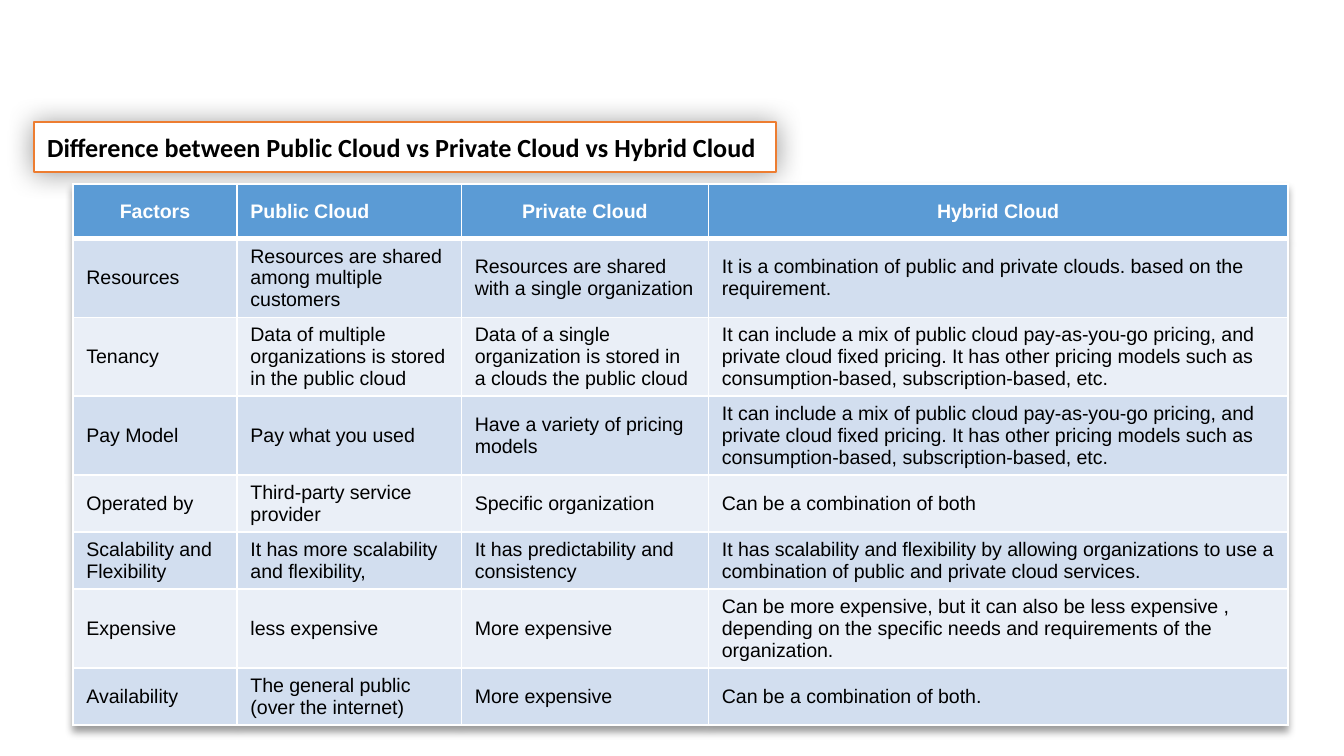
from lxml.etree import SubElement
from pptx import Presentation
from pptx.dml.color import RGBColor as RGB
from pptx.enum.shapes import MSO_SHAPE as SHAPE
from pptx.enum.text import MSO_ANCHOR as ANCHOR, PP_ALIGN as ALIGN
from pptx.oxml.ns import qn
from pptx.util import Cm, Pt

TITLE = "Difference between Public Cloud vs Private Cloud vs Hybrid Cloud"
MIXED_PRICING = (
    "It can include a mix of public cloud pay-as-you-go pricing, and private cloud "
    "fixed pricing. It has other pricing models such as consumption-based, "
    "subscription-based, etc."
)
HEADER = ("Factors", "Public Cloud", "Private Cloud", "Hybrid Cloud")
HEADER_ALIGN = (ALIGN.CENTER, ALIGN.LEFT, ALIGN.CENTER, ALIGN.CENTER)
BODY = [
    ("Resources", "Resources are shared among multiple customers",
     "Resources are shared with a single organization",
     "It is a combination of public and private clouds. based on the requirement."),
    ("Tenancy", "Data of multiple organizations is stored in the public cloud",
     "Data of a single organization is stored in a clouds the public cloud",
     MIXED_PRICING),
    ("Pay Model", "Pay what you used", "Have a variety of pricing models",
     MIXED_PRICING),
    ("Operated by", "Third-party service provider", "Specific organization",
     "Can be a combination of both"),
    ("Scalability and Flexibility", "It has more scalability and flexibility,",
     "It has predictability and consistency",
     "It has scalability and flexibility by allowing organizations to use a "
     "combination of public and private cloud services."),
    ("Expensive", "less expensive", "More expensive",
     "Can be more expensive, but it can also be less expensive , depending on the "
     "specific needs and requirements of the organization."),
    ("Availability", "The general public (over the internet)", "More expensive",
     "Can be a combination of both."),
]
LINES = (3, 3, 3, 2, 2, 3, 2)
ROW_HEIGHT = {2: 1.07, 3: 1.49}
HEADER_HEIGHT = 1.03
COLUMNS = (3.1, 4.24, 4.67, 10.95)
COLORS = {
    "white": "FFFFFF", "black": "000000", "orange": "ED7D31",
    "header": "5B9BD5", "dark band": "D2DEEF", "light band": "EAEFF7",
}


def color(name):
    return RGB.from_string(COLORS[name])


def style_text(p, font, size, name, bold, align):
    p.alignment = align
    for r in p.runs:
        r.font.name, r.font.size, r.font.bold = font, Pt(size), bold
        r.font.color.rgb = color(name)


def add_shadow(effects, blur, distance):
    shadow = SubElement(effects, qn("a:outerShdw"), blurRad=str(Pt(blur)),
                        dist=str(Pt(distance)), dir="5400000",
                        algn="t", rotWithShape="0")
    clr = SubElement(shadow, qn("a:srgbClr"), val=COLORS["black"])
    SubElement(clr, qn("a:alpha"), val="40000")


def add_borders(cell, bottom):
    tc_pr = cell._tc.get_or_add_tcPr()
    for side, width in (("L", 1), ("R", 1), ("T", 1), ("B", bottom)):
        ln = SubElement(tc_pr, qn(f"a:ln{side}"), w=str(Pt(width)))
        fill = SubElement(ln, qn("a:solidFill"))
        SubElement(fill, qn("a:srgbClr"), val=COLORS["white"])


def add_title(s):
    sp = s.shapes.add_shape(SHAPE.RECTANGLE, Cm(0.64), Cm(2.31), Cm(14.02), Cm(0.94))
    sp.shadow.inherit = False
    sp.fill.solid()
    sp.fill.fore_color.rgb = color("white")
    sp.line.color.rgb = color("orange")
    sp.line.width = Pt(1)
    add_shadow(sp._element.spPr.find(qn("a:effectLst")), 15, 0)
    tf = sp.text_frame
    tf.word_wrap = True
    tf.vertical_anchor = ANCHOR.MIDDLE
    tf.text = TITLE
    style_text(tf.paragraphs[0], "Calibri", 14, "black", True, ALIGN.JUSTIFY)


def add_comparison(s):
    heights = [HEADER_HEIGHT] + [ROW_HEIGHT[n] for n in LINES]
    rows = [HEADER] + BODY
    frame = s.shapes.add_table(len(rows), len(COLUMNS), Cm(1.38), Cm(3.48),
                               Cm(sum(COLUMNS)), Cm(sum(heights)))
    table = frame.table
    tbl_pr = table._tbl.tblPr
    effects = SubElement(tbl_pr, qn("a:effectLst"))
    tbl_pr.insert(0, effects)
    add_shadow(effects, 4, 3)
    for column, width in zip(table.columns, COLUMNS):
        column.width = Cm(width)
    for i, (texts, height) in enumerate(zip(rows, heights)):
        table.rows[i].height = Cm(height)
        head = i == 0
        band = "header" if head else "dark band" if i % 2 else "light band"
        for j, text in enumerate(texts):
            cell = table.cell(i, j)
            add_borders(cell, 3 if head else 1)
            cell.fill.solid()
            cell.fill.fore_color.rgb = color(band)
            cell.vertical_anchor = ANCHOR.MIDDLE
            cell.text_frame.text = text
            style_text(cell.text_frame.paragraphs[0], "Arial", 10.5,
                       "white" if head else "black", head,
                       HEADER_ALIGN[j] if head else ALIGN.LEFT)


def main():
    prs = Presentation()
    prs.slide_width, prs.slide_height = Cm(25.4), Cm(14.29)
    s = prs.slides.add_slide(prs.slide_layouts[6])
    add_title(s)
    add_comparison(s)
    prs.save("out.pptx")


if __name__ == "__main__":
    main()
